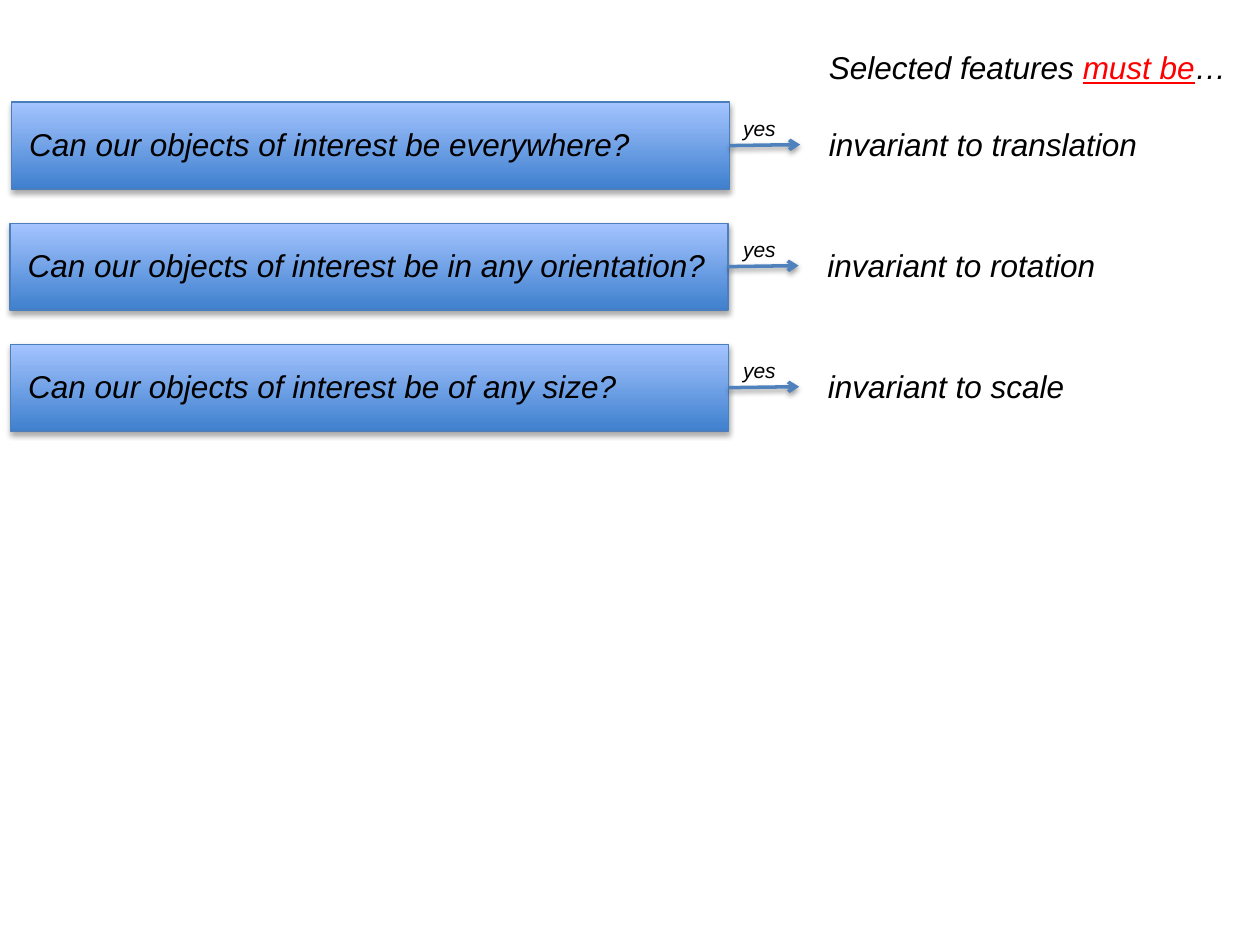
from dataclasses import dataclass

from lxml.etree import SubElement
from pptx import Presentation
from pptx.dml.color import RGBColor
from pptx.enum.shapes import MSO_CONNECTOR as Connector, MSO_SHAPE as Preset
from pptx.enum.text import MSO_AUTO_SIZE as AutoSize
from pptx.oxml.ns import qn
from pptx.util import Cm, Pt

BLACK = RGBColor(0x00, 0x00, 0x00)
RED = RGBColor(0xFF, 0x00, 0x00)
BOX_DARK = RGBColor(0x3F, 0x80, 0xCE)
BOX_LIGHT = RGBColor(0xA4, 0xC4, 0xFF)
BOX_LINE = RGBColor(0x4B, 0x7E, 0xBC)
ARROW = RGBColor(0x4F, 0x81, 0xBD)

FIRST_TOP, ROW_STEP = 2.06, 2.44
BOX_WIDTH, BOX_HEIGHT = 14.48, 1.75
ARROW_LENGTH, ARROW_RISE = 1.42, 0.02
YES_LEFT = 14.73
TEXT_HEIGHT, YES_HEIGHT = 1.02, 0.76


@dataclass
class Row:
    question: str
    question_width: float
    answer: str
    answer_width: float
    left: float


ROWS = [
    Row("Can our objects of interest be everywhere?", 12.88,
        "invariant to translation", 6.93, 0.23),
    Row("Can our objects of interest be in any orientation?", 14.45,
        "invariant to rotation", 6.12, 0.2),
    Row("Can our objects of interest be of any size?", 12.65,
        "invariant to scale", 5.49, 0.21),
]


def add_shadow(shape, opacity: int, distance: float) -> None:
    """Replace the theme shadow with a soft one falling straight down."""
    properties = shape._element.spPr
    effects = properties.find(qn("a:effectLst"))
    if effects is None:
        effects = SubElement(properties, qn("a:effectLst"))
    shadow = SubElement(effects, qn("a:outerShdw"), blurRad=str(Pt(3.1)),
                        dist=str(Pt(distance)), dir="5400000", rotWithShape="0")
    color = SubElement(shadow, qn("a:srgbClr"), val=str(BLACK))
    SubElement(color, qn("a:alpha"), val=str(opacity * 1000))


def add_text(slide, text: str, left: float, top: float, width: float,
             height: float = TEXT_HEIGHT, size: int = 18):
    box = slide.shapes.add_textbox(Cm(left), Cm(top), Cm(width), Cm(height))
    frame = box.text_frame
    frame.word_wrap = False
    frame.auto_size = AutoSize.SHAPE_TO_FIT_TEXT
    paragraph = frame.paragraphs[0]
    paragraph.add_run().text = text
    paragraph.font.name = "Arial"
    paragraph.font.size = Pt(size)
    paragraph.font.italic = True
    paragraph.font.color.rgb = BLACK
    return paragraph


def add_box(slide, left: float, top: float) -> None:
    box = slide.shapes.add_shape(Preset.RECTANGLE, Cm(left), Cm(top),
                                 Cm(BOX_WIDTH), Cm(BOX_HEIGHT))
    box.fill.gradient()
    box.fill.gradient_angle = 90
    for stop, color in zip(box.fill.gradient_stops, (BOX_DARK, BOX_LIGHT)):
        stop.color.rgb = color
    box.line.color.rgb = BOX_LINE
    box.line.width = Pt(0.75)
    box.shadow.inherit = False
    add_shadow(box, 35, 1.8)


def add_arrow(slide, left: float, middle: float) -> None:
    arrow = slide.shapes.add_connector(
        Connector.STRAIGHT, Cm(left), Cm(middle),
        Cm(left + ARROW_LENGTH), Cm(middle - ARROW_RISE))
    arrow.line.color.rgb = ARROW
    arrow.line.width = Pt(2)
    line = arrow._element.spPr.find(qn("a:ln"))
    SubElement(line, qn("a:tailEnd"), type="arrow")
    add_shadow(arrow, 38, 1.6)


def add_row(slide, row: Row, top: float) -> None:
    text_top = top + 0.34
    add_box(slide, row.left, top)
    add_text(slide, row.question, row.left + 0.11, text_top, row.question_width)
    add_arrow(slide, row.left + BOX_WIDTH, top + BOX_HEIGHT / 2)
    add_text(slide, "yes", YES_LEFT, top + 0.15, 1.22, YES_HEIGHT, 12)
    add_text(slide, row.answer, row.left + 16.23, text_top, row.answer_width)


def add_heading(slide) -> None:
    paragraph = add_text(slide, "Selected features ", 16.46, 0.84, 8.76)
    emphasis = paragraph.add_run()
    emphasis.text = "must be"
    emphasis.font.color.rgb = RED
    emphasis.font.underline = True
    paragraph.add_run().text = "…"


def main() -> None:
    presentation = Presentation()
    presentation.slide_width, presentation.slide_height = Cm(25.4), Cm(19.05)
    slide = presentation.slides.add_slide(presentation.slide_layouts[6])
    add_heading(slide)
    for index, row in enumerate(ROWS):
        add_row(slide, row, FIRST_TOP + index * ROW_STEP)
    presentation.save("out.pptx")


if __name__ == "__main__":
    main()
